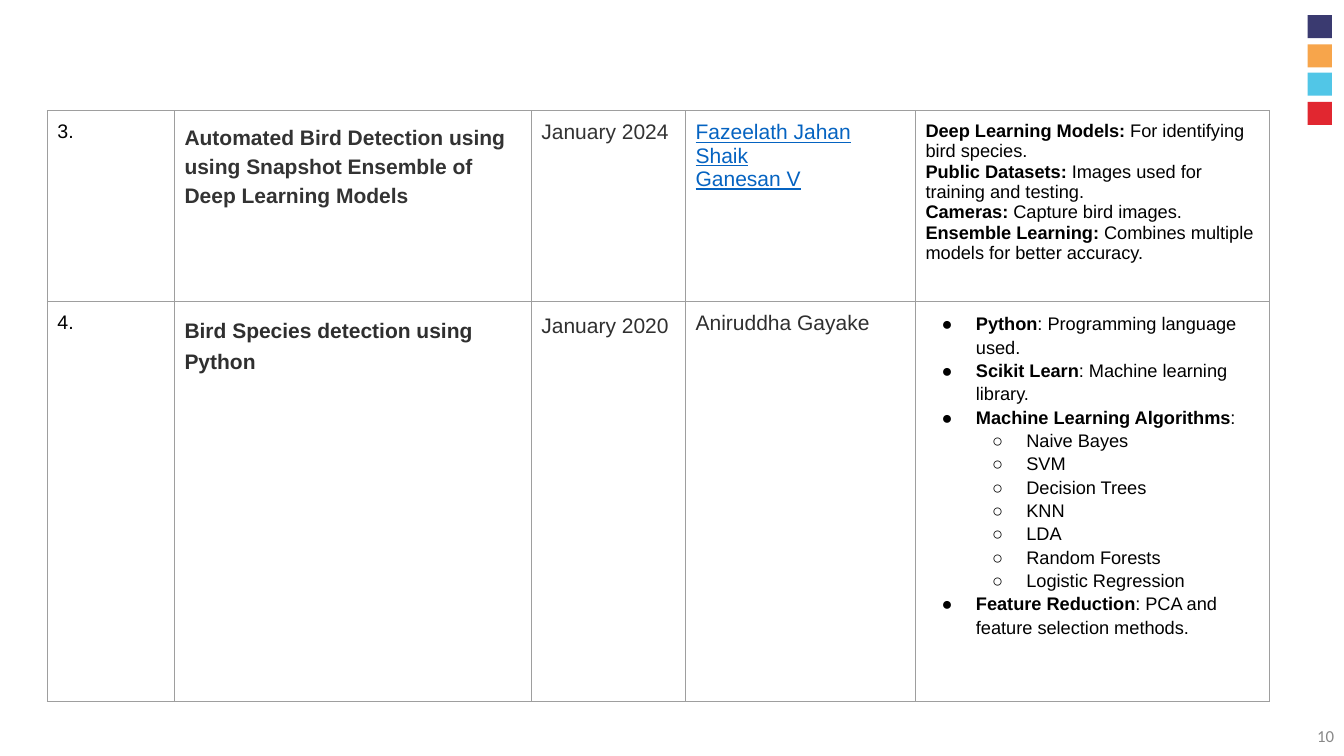
from dataclasses import dataclass

from lxml.etree import SubElement
from pptx import Presentation
from pptx.dml.color import RGBColor
from pptx.enum.shapes import MSO_SHAPE
from pptx.enum.text import MSO_ANCHOR, PP_ALIGN
from pptx.oxml.ns import qn
from pptx.slide import Slide
from pptx.table import _Cell
from pptx.text.text import _Paragraph
from pptx.util import Emu, Pt

BLACK = RGBColor(0x00, 0x00, 0x00)
CHARCOAL = RGBColor(0x33, 0x33, 0x33)
SOFT_BLACK = RGBColor(0x2F, 0x2F, 0x2F)
LINK_BLUE = RGBColor(0x05, 0x63, 0xC1)
PAGE_GREY = RGBColor(0x88, 0x88, 0x88)
BORDER_GREY = RGBColor(0x9E, 0x9E, 0x9E)
NAVY = RGBColor(0x3A, 0x3A, 0x70)
ORANGE = RGBColor(0xF7, 0xA5, 0x4B)
CYAN = RGBColor(0x51, 0xC6, 0xE7)
RED = RGBColor(0xE1, 0x27, 0x30)

COLUMN_WIDTHS = (126, 354, 153, 228, 351)
ROW_HEIGHTS = (189, 397)
CELL_MARGIN = 10
BULLETS = ("●", "○")


@dataclass(frozen=True)
class Style:
    """Look of the text in one cell."""
    size: int
    color: RGBColor = BLACK
    underline: bool = False
    spacing: float = 1.0
    before: int = 0


@dataclass(frozen=True)
class Line:
    """One paragraph: a bold lead, then plain text, with an optional bullet level."""
    lead: str = ""
    rest: str = ""
    level: int | None = None


@dataclass(frozen=True)
class Entry:
    """Content of one table cell."""
    style: Style
    lines: tuple[Line, ...]


NUMBER = Style(14)
TOOLS = Style(13)
ALGORITHMS = ("Naive Bayes", "SVM", "Decision Trees", "KNN", "LDA",
              "Random Forests", "Logistic Regression")

PAPERS = (
    (
        Entry(NUMBER, (Line(rest="3."),)),
        Entry(Style(15, CHARCOAL, spacing=1.24), (
            Line("Automated Bird Detection using using Snapshot Ensemble of Deep Learning Models"),)),
        Entry(Style(15, CHARCOAL), (Line(rest="January 2024"),)),
        Entry(Style(15, LINK_BLUE, underline=True), (
            Line(rest="Fazeelath Jahan Shaik"), Line(rest="Ganesan V"))),
        Entry(TOOLS, (
            Line("Deep Learning Models:", " For identifying bird species."),
            Line("Public Datasets:", " Images used for training and testing."),
            Line("Cameras:", " Capture bird images."),
            Line("Ensemble Learning:", " Combines multiple models for better accuracy."))),
    ),
    (
        Entry(NUMBER, (Line(rest="4."),)),
        Entry(Style(15, SOFT_BLACK, spacing=1.33, before=15), (
            Line("Bird Species detection using Python"),)),
        Entry(Style(15, SOFT_BLACK, spacing=1.15), (Line(rest="January 2020"),)),
        Entry(Style(15, SOFT_BLACK), (Line(rest="Aniruddha Gayake"),)),
        Entry(Style(13, spacing=1.15, before=12), (
            Line("Python", ": Programming language used.", 0),
            Line("Scikit Learn", ": Machine learning library.", 0),
            Line("Machine Learning Algorithms", ":", 0),
            *(Line(rest=name, level=1) for name in ALGORITHMS),
            Line("Feature Reduction", ": PCA and feature selection methods.", 0))),
    ),
)


def px(length: int) -> Emu:
    """Turn px, a hundred to the inch, into EMU."""
    return Emu(length * 9144)


def add_bullet(para: _Paragraph, level: int) -> None:
    """Give a paragraph a hanging bullet for its level."""
    para.level = level
    properties = para._p.get_or_add_pPr()
    properties.set("marL", str(px(50 * (level + 1))))
    properties.set("indent", str(px(-34)))
    color = SubElement(properties, qn("a:buClr"))
    SubElement(color, qn("a:srgbClr"), val=str(BLACK))
    SubElement(properties, qn("a:buFont"), typeface="Arial")
    SubElement(properties, qn("a:buChar"), char=BULLETS[level])


def write_line(para: _Paragraph, line: Line, style: Style) -> None:
    """Write the bold and plain parts of a line."""
    para.line_spacing = style.spacing
    for text, bold in ((line.lead, True), (line.rest, False)):
        if text:
            span = para.add_run()
            span.text = text
            span.font.name = "Arial"
            span.font.size = Pt(style.size)
            span.font.bold = bold
            span.font.underline = style.underline
            span.font.color.rgb = style.color
    if line.level is not None:
        add_bullet(para, line.level)


def add_borders(cell: _Cell) -> None:
    """Draw a thin grey line on each side of a cell."""
    properties = cell._tc.get_or_add_tcPr()
    for side in ("lnL", "lnR", "lnT", "lnB"):
        border = SubElement(properties, qn(f"a:{side}"), w=str(Pt(0.75)))
        fill = SubElement(border, qn("a:solidFill"))
        SubElement(fill, qn("a:srgbClr"), val=str(BORDER_GREY))


def fill_cell(cell: _Cell, entry: Entry) -> None:
    """Write an entry into a bordered cell without fill."""
    cell.margin_left = cell.margin_right = px(CELL_MARGIN)
    cell.margin_top = cell.margin_bottom = px(CELL_MARGIN)
    add_borders(cell)
    cell.fill.background()
    frame = cell.text_frame
    for index, line in enumerate(entry.lines):
        para = frame.add_paragraph() if index else frame.paragraphs[0]
        para.space_before = Pt(0 if index else entry.style.before)
        write_line(para, line, entry.style)


def add_papers(page: Slide) -> None:
    """Add the table of papers."""
    table = page.shapes.add_table(
        len(ROW_HEIGHTS), len(COLUMN_WIDTHS), px(47), px(110),
        px(sum(COLUMN_WIDTHS)), px(sum(ROW_HEIGHTS))).table
    table.first_row = table.horz_banding = False
    for column, width in zip(table.columns, COLUMN_WIDTHS):
        column.width = px(width)
    for row, height, entries in zip(table.rows, ROW_HEIGHTS, PAPERS):
        row.height = px(height)
        for cell, entry in zip(row.cells, entries):
            fill_cell(cell, entry)


def add_color_squares(page: Slide) -> None:
    """Stack the four squares in the top right corner."""
    for index, color in enumerate((NAVY, ORANGE, CYAN, RED)):
        square = page.shapes.add_shape(
            MSO_SHAPE.RECTANGLE, px(1297), px(15 + round(28.6 * index)), px(24), px(23))
        square.shadow.inherit = False
        square.fill.solid()
        square.fill.fore_color.rgb = color
        square.line.fill.background()


def add_page_number(page: Slide) -> None:
    """Write the page number in the bottom right corner."""
    box = page.shapes.add_textbox(px(1033), px(710), px(300), px(40))
    frame = box.text_frame
    frame.word_wrap = True
    frame.vertical_anchor = MSO_ANCHOR.MIDDLE
    frame.text = "10"
    para = frame.paragraphs[0]
    para.alignment = PP_ALIGN.RIGHT
    font = para.runs[0].font
    font.name = "Calibri"
    font.size = Pt(12)
    font.color.rgb = PAGE_GREY


def main() -> None:
    """Build and save the deck."""
    deck = Presentation()
    deck.slide_width, deck.slide_height = px(1333), px(750)
    page = deck.slides.add_slide(deck.slide_layouts[6])
    add_color_squares(page)
    add_page_number(page)
    add_papers(page)
    deck.save("out.pptx")


if __name__ == "__main__":
    main()
